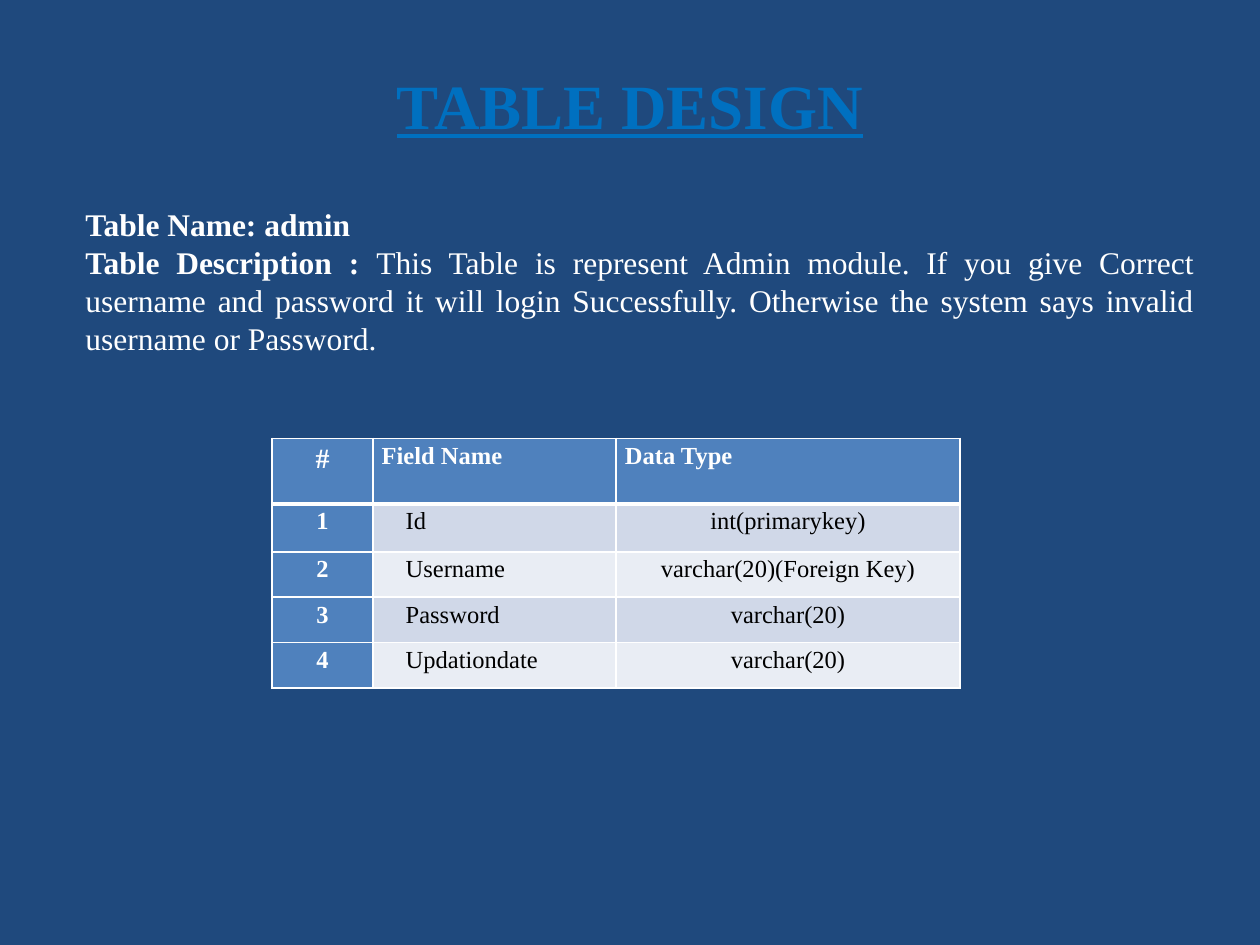
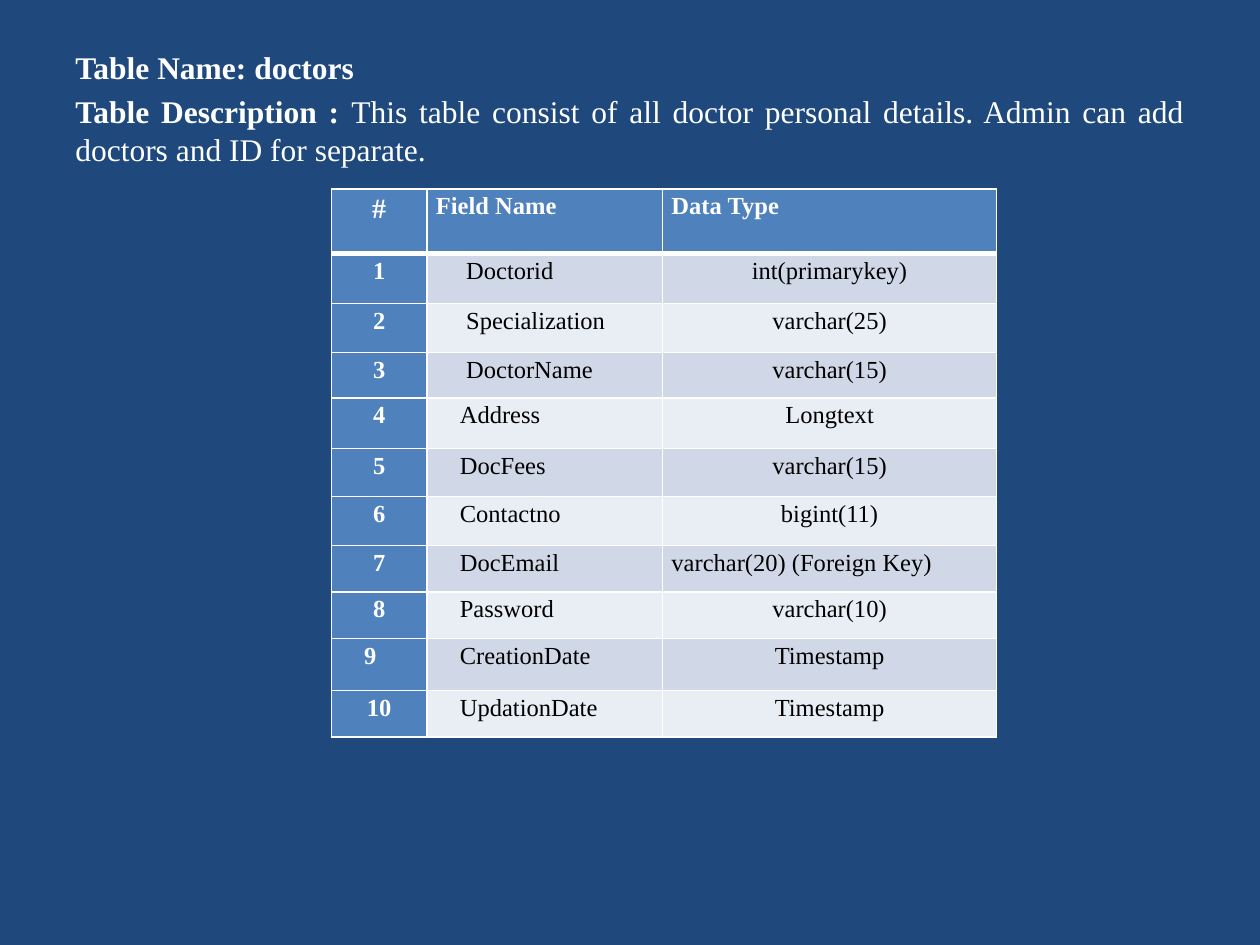
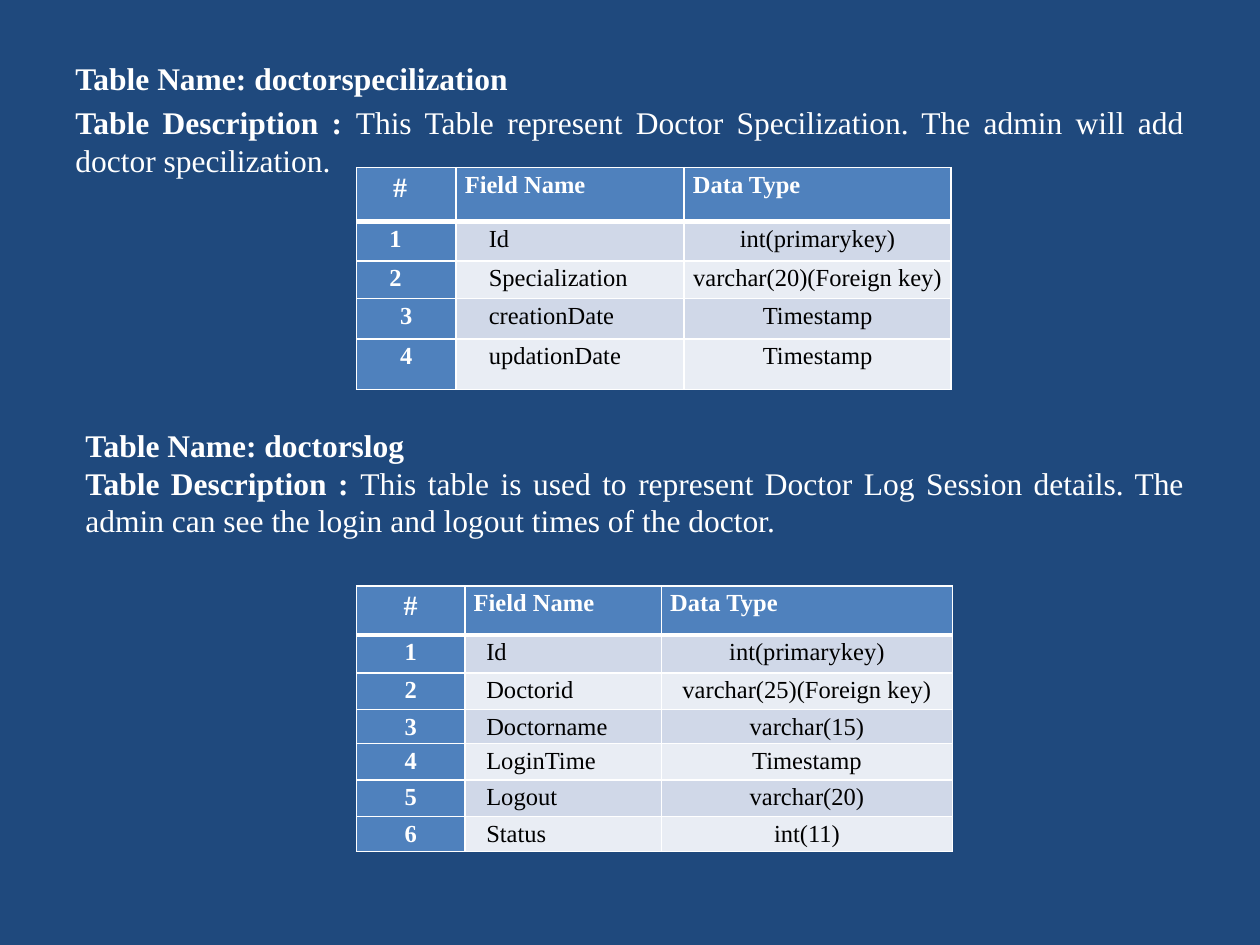
from lxml import etree
from pptx import Presentation
from pptx.dml.color import RGBColor
from pptx.enum.text import MSO_ANCHOR, PP_ALIGN
from pptx.oxml.ns import qn
from pptx.util import Inches, Pt

LEFT, CENTER, JUSTIFY = PP_ALIGN.LEFT, PP_ALIGN.CENTER, PP_ALIGN.JUSTIFY
MIDDLE = MSO_ANCHOR.MIDDLE
NAVY = RGBColor(0x1F, 0x49, 0x7D)
TITLE_BLUE = RGBColor(0x00, 0x70, 0xC0)
HEADER_BLUE = RGBColor(0x4F, 0x81, 0xBD)
ODD_BAND = RGBColor(0xD0, 0xD8, 0xE8)
EVEN_BAND = RGBColor(0xE9, 0xED, 0xF4)
WHITE = RGBColor(0xFF, 0xFF, 0xFF)
BLACK = RGBColor(0x00, 0x00, 0x00)
FONT = "Times New Roman"
HEADER = ("#", "Field Name", "Data Type")
CELL_MARGIN = 0.07
INDENT = 0.19


class TableDeck:
    """Holds the deck style and the current slide, and draws each kind of element."""

    def __init__(self):
        self.presentation = Presentation()
        self.presentation.slide_width = Inches(10)
        self.presentation.slide_height = Inches(7.5)
        self.slide = None

    def new_slide(self):
        self.slide = self.presentation.slides.add_slide(self.presentation.slide_layouts[6])
        fill = self.slide.background.fill
        fill.solid()
        fill.fore_color.rgb = NAVY

    def style_run(self, run, size, color, bold):
        run.font.name = FONT
        run.font.size = Pt(size)
        run.font.color.rgb = color
        run.font.bold = bold

    def text_box(self, left, top, width, height):
        shape = self.slide.shapes.add_textbox(
            Inches(left), Inches(top), Inches(width), Inches(height))
        shape.text_frame.word_wrap = True
        return shape.text_frame

    def title(self, text):
        text_frame = self.text_box(0.5, 0.2, 9, 1.25)
        text_frame.vertical_anchor = MIDDLE
        text_frame.text = text
        paragraph = text_frame.paragraphs[0]
        paragraph.alignment = CENTER
        self.style_run(paragraph.runs[0], 36, TITLE_BLUE, True)
        paragraph.runs[0].font.underline = True

    def description(self, left, top, width, height, name, text, gap=0):
        text_frame = self.text_box(left, top, width, height)
        text_frame.text = f"Table Name: {name}"
        details = text_frame.add_paragraph()
        details.text = "Table Description : "
        details.space_before = Pt(gap)
        for paragraph in text_frame.paragraphs:
            paragraph.alignment = JUSTIFY
            self.style_run(paragraph.runs[0], 18, WHITE, True)
        run = details.add_run()
        run.text = text
        self.style_run(run, 18, WHITE, False)

    def borders(self, cell, row):
        properties = cell._tc.get_or_add_tcPr()
        widths = {"L": 1, "R": 1, "T": 3 if row == 1 else 1, "B": 3 if row == 0 else 1}
        for position, (side, width) in enumerate(widths.items()):
            line = etree.Element(qn(f"a:ln{side}"), w=str(Pt(width)))
            fill = etree.SubElement(line, qn("a:solidFill"))
            etree.SubElement(fill, qn("a:srgbClr"), val=str(WHITE))
            properties.insert(position, line)

    def cell(self, cell, row, column, text, indent):
        """Fills one cell; an indent of None centres its text."""
        heading = row == 0 or column == 0
        band = ODD_BAND if row % 2 else EVEN_BAND
        cell.fill.solid()
        cell.fill.fore_color.rgb = HEADER_BLUE if heading else band
        cell.margin_left = Inches(CELL_MARGIN + (indent or 0))
        cell.margin_right = Inches(CELL_MARGIN)
        cell.margin_top = cell.margin_bottom = 0
        cell.text_frame.text = text
        paragraph = cell.text_frame.paragraphs[0]
        paragraph.alignment = CENTER if indent is None else LEFT
        paragraph.line_spacing = 1.15
        size = 16 if row == column == 0 else 14
        self.style_run(paragraph.runs[0], size, WHITE if heading else BLACK, heading)
        self.borders(cell, row)

    def field_table(self, left, top, widths, heights, fields, indent=INDENT, indents=None):
        """Draws numbered fields; indents overrides the indent by (row, column)."""
        rows = [HEADER] + [(str(number), *field) for number, field in enumerate(fields, 1)]
        table = self.slide.shapes.add_table(
            len(rows), len(widths), Inches(left), Inches(top),
            Inches(sum(widths)), Inches(sum(heights))).table
        for column, width in zip(table.columns, widths):
            column.width = Inches(width)
        for row, height in zip(table.rows, heights):
            row.height = Inches(height)
        for row, values in enumerate(rows):
            defaults = (None, indent, None) if row else (None, 0, 0)
            for column, text in enumerate(values):
                cell_indent = (indents or {}).get((row, column), defaults[column])
                self.cell(table.cell(row, column), row, column, text, cell_indent)


def main():
    deck = TableDeck()

    deck.new_slide()
    deck.title("TABLE DESIGN")
    deck.description(
        0.58, 1.58, 9, 1.62, "admin",
        "This Table is represent Admin module. If you give Correct username and password "
        "it will login Successfully. Otherwise the system says invalid username or Password.")
    deck.field_table(
        2.16, 3.48, (0.8, 1.93, 2.73), (0.52, 0.38, 0.36, 0.36, 0.36),
        [("Id", "int(primarykey)"),
         ("Username", "varchar(20)(Foreign Key)"),
         ("Password", "varchar(20)"),
         ("Updationdate", "varchar(20)")])

    deck.new_slide()
    deck.description(
        0.5, 0.33, 9, 6.37, "doctors",
        "This table consist of all doctor personal details. "
        "Admin can add doctors and ID for separate.", gap=3.6)
    deck.field_table(
        2.63, 1.5, (0.76, 1.87, 2.65),
        (0.51, 0.4, 0.39, 0.36, 0.4, 0.38, 0.39, 0.37, 0.37, 0.41, 0.37),
        [("Doctorid", "int(primarykey)"),
         ("Specialization", "varchar(25)"),
         ("DoctorName", "varchar(15)"),
         ("Address", "Longtext"),
         ("DocFees", "varchar(15)"),
         ("Contactno", "bigint(11)"),
         ("DocEmail", "varchar(20) (Foreign Key)"),
         ("Password", "varchar(10)"),
         ("CreationDate", "Timestamp"),
         ("UpdationDate", "Timestamp")],
        indents={(1, 1): 0.24, (2, 1): 0.24, (3, 1): 0.24, (7, 2): 0, (9, 0): INDENT})

    deck.new_slide()
    deck.description(
        0.5, 0.42, 9, 6.5, "doctorspecilization",
        "This Table represent Doctor Specilization. "
        "The admin will add doctor specilization.", gap=3.6)
    deck.field_table(
        2.83, 1.33, (0.79, 1.81, 2.12), (0.43, 0.31, 0.3, 0.32, 0.4),
        [("Id", "int(primarykey)"),
         ("Specialization", "varchar(20)(Foreign key)"),
         ("creationDate", "Timestamp"),
         ("updationDate", "Timestamp")],
        indents={(0, 0): 0.22, (1, 0): INDENT, (2, 0): INDENT})
    deck.description(
        0.58, 3.33, 8.92, 1.31, "doctorslog",
        "This table is used to represent Doctor Log Session details. "
        "The admin can see the login and logout times of the doctor.")
    deck.field_table(
        2.83, 4.65, (0.86, 1.56, 2.31), (0.39, 0.3, 0.29, 0.27, 0.29, 0.29, 0.28),
        [("Id", "int(primarykey)"),
         ("Doctorid", "varchar(25)(Foreign key)"),
         ("Doctorname", "varchar(15)"),
         ("LoginTime", "Timestamp"),
         ("Logout", "varchar(20)"),
         ("Status", "int(11)")],
        indent=0.1)

    deck.presentation.save("out.pptx")


if __name__ == "__main__":
    main()
